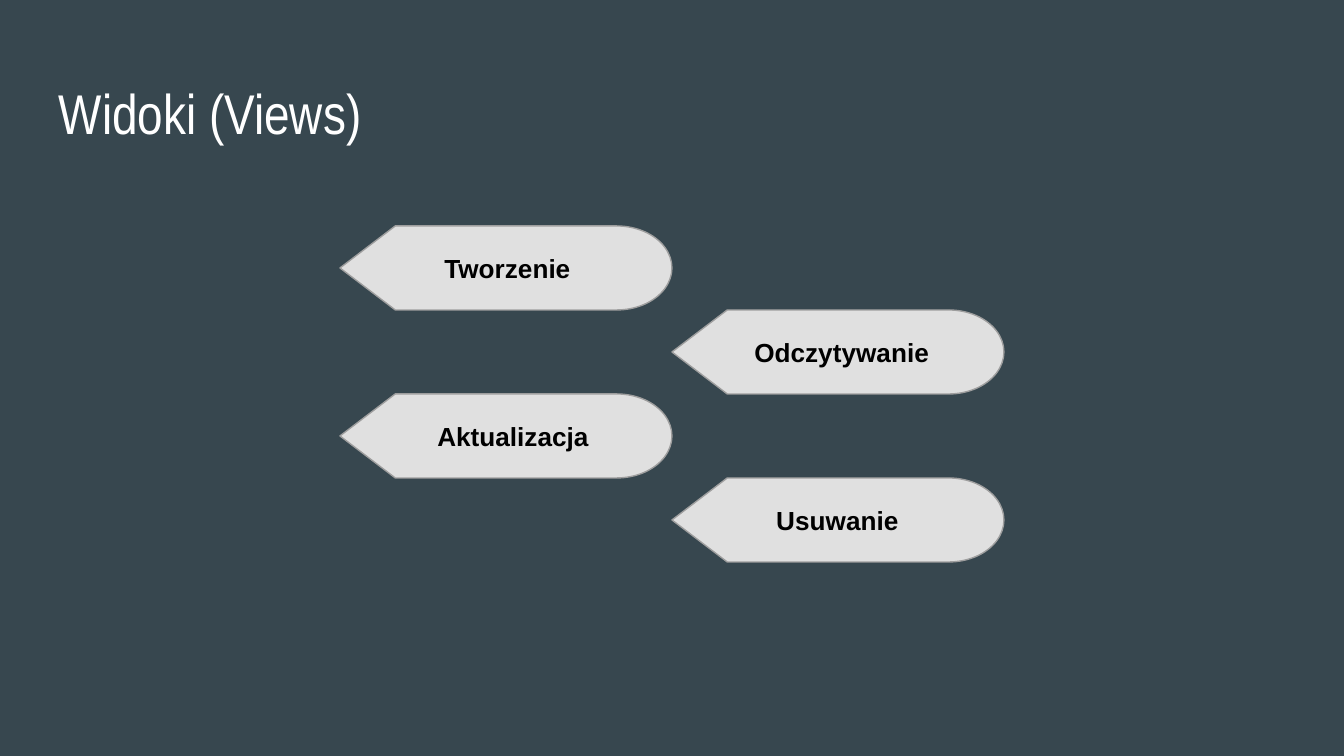
from pptx import Presentation
from pptx.dml.color import RGBColor
from pptx.enum.shapes import MSO_SHAPE
from pptx.enum.text import MSO_ANCHOR, PP_ALIGN
from pptx.util import Emu, Pt

SCALE = 914400 / 134.4  # EMU in one px
TITLE = {"name": "Arial Narrow", "size": Pt(30), "bold": False}
LABEL = {"name": "Arial", "size": Pt(14), "bold": True}


def px(n):
    return Emu(round(n * SCALE))


def paint(color, code):
    color.rgb = RGBColor.from_string(code)


def write(shape, text, style, code, indent=0):
    frame = shape.text_frame
    pad = px(13)
    form = {"word_wrap": True, "margin_left": pad, "margin_right": pad,
            "margin_top": pad, "margin_bottom": pad}
    for key, value in form.items():
        setattr(frame, key, value)
    para = frame.paragraphs[0]
    para.alignment = PP_ALIGN.LEFT
    if indent:
        para._p.get_or_add_pPr().set("marL", str(px(indent)))
    run = para.add_run()
    run.text = text
    for key, value in style.items():
        setattr(run.font, key, value)
    paint(run.font.color, code)


def add_title(slide, box, text):
    shape = slide.shapes.add_textbox(*map(px, box))
    write(shape, text, TITLE, "FFFFFF")


def add_tag(slide, box, text, indent):
    shape = slide.shapes.add_shape(MSO_SHAPE.FLOWCHART_DISPLAY, *map(px, box))
    shape.shadow.inherit = False
    shape.fill.solid()
    paint(shape.fill.fore_color, "E0E0E0")
    paint(shape.line.color, "9E9E9E")
    shape.line.width = Pt(0.75)
    shape.text_frame.vertical_anchor = MSO_ANCHOR.MIDDLE
    write(shape, text, LABEL, "000000", indent)


def add_steps(slide, box, tags):
    # Tags alternate between two columns, one per row
    left, top, width, height = box
    wide, high = width // 2, height // len(tags)
    for row, (text, indent) in enumerate(tags):
        spot = (left + row % 2 * wide, top + row * high, wide, high)
        add_tag(slide, spot, text, indent)


def main():
    deck = Presentation()
    deck.slide_width, deck.slide_height = px(1344), px(756)
    slide = deck.slides.add_slide(deck.slide_layouts[6])

    # Background
    fill = slide.background.fill
    fill.solid()
    paint(fill.fore_color, "37474F")

    # Title and view steps
    add_title(slide, (46, 66, 1253, 84), "Widoki (Views)")
    add_steps(slide, (340, 226, 664, 336), [
        ("Tworzenie", 36), ("Odczytywanie", 14),
        ("Aktualizacja", 29), ("Usuwanie", 36)])
    deck.save("out.pptx")


if __name__ == "__main__":
    main()
